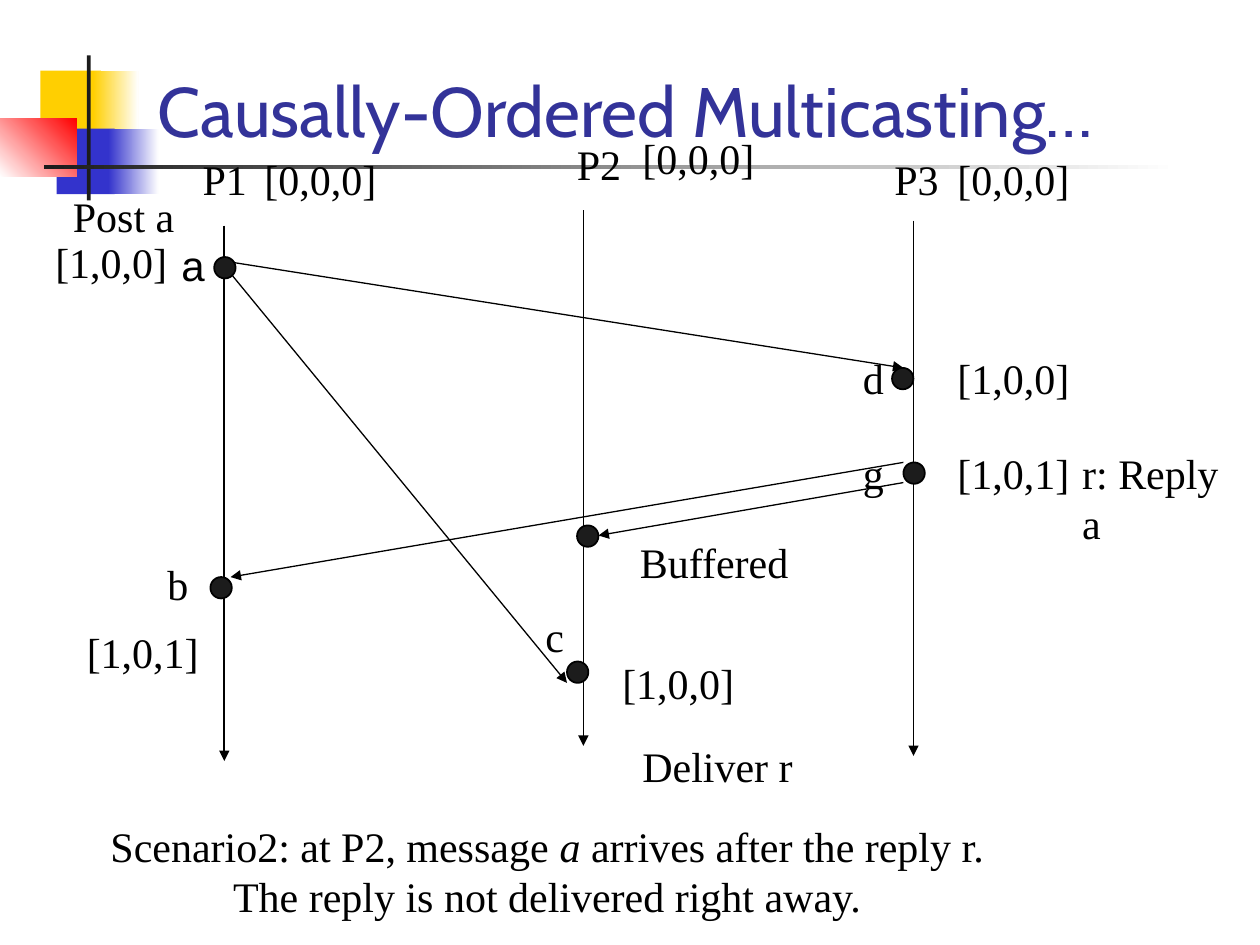
from lxml import etree
from pptx import Presentation, util as u
from pptx.dml.color import RGBColor
from pptx.enum import shapes as s, text as t
from pptx.oxml.ns import qn

SCALE = 9144
DOT = 17
SERIF = "Times New Roman"
HUES = {"gold": "FFCF01", "blue": "3333CC", "red": "FF0000", "dark": "1C1C1C",
        "white": "FFFFFF", "black": "000000", "title": "333399"}


def px(*vals):
    """Turn pixel lengths into EMU."""
    return [u.Emu(v * SCALE) for v in vals]


def hue(name):
    """Look up a named colour."""
    return RGBColor.from_string(HUES[name])


def shape(slide, kind, box, *fill, angle=0):
    """Add a borderless shape with a solid or two-stop gradient fill."""
    item = slide.shapes.add_shape(kind, *px(*box))
    item.shadow.inherit = False
    item.line.fill.background()
    if len(fill) == 1:
        item.fill.solid()
        item.fill.fore_color.rgb = hue(fill[0])
    else:
        item.fill.gradient()
        item.fill.gradient_angle = angle
        for stop, name in zip(item.fill.gradient_stops, fill):
            stop.color.rgb = hue(name)
    return item


def dot(slide, x, y):
    """Mark an event by its top left corner."""
    item = shape(slide, s.MSO_SHAPE.OVAL, (x, y, DOT, DOT), "dark")
    item.line.color.rgb = hue("black")
    item.line.width = u.Pt(1)


def arrow(slide, x1, y1, x2, y2, width):
    """Draw a line with a triangle at its end."""
    item = slide.shapes.add_connector(s.MSO_CONNECTOR.STRAIGHT, *px(x1, y1, x2, y2))
    item.line.color.rgb = hue("black")
    item.line.width = u.Pt(width)
    etree.SubElement(item.line._get_or_add_ln(), qn("a:tailEnd"), type="triangle")
    etree.SubElement(item._element.spPr, qn("a:effectLst"))


def style(para, font=SERIF, size=24, name="black"):
    """Set the font of a paragraph."""
    para.font.name = font
    para.font.size = u.Pt(size)
    para.font.color.rgb = hue(name)


def label(slide, words, x, y, width, font=SERIF):
    """Add a one-line label that grows with its text."""
    frame = slide.shapes.add_textbox(*px(x, y, width, 50)).text_frame
    frame.word_wrap = False
    frame.auto_size = t.MSO_AUTO_SIZE.SHAPE_TO_FIT_TEXT
    frame.text = words
    style(frame.paragraphs[0], font)


def motif(slide, x, y):
    """Draw the coloured blocks and rules beside the title."""
    for box, fill, angle in [
        ((32, 12, 48, 52), ["gold"], 0),
        ((74, 12, 36, 52), ["gold", "white"], 0),
        ((45, 58, 46, 52), ["blue"], 0),
        ((86, 58, 40, 52), ["blue", "white"], 0),
        ((0, 50, 61, 46), ["white", "red"], 45),
        ((69, 0, 3, 115), ["dark"], 0),
        ((35, 87, 900, 3), ["dark", "white"], 0),
    ]:
        left, top, wide, high = box
        shape(slide, s.MSO_SHAPE.RECTANGLE, (x + left, y + top, wide, high),
              *fill, angle=angle)


def heading(slide, box, words):
    """Place the title."""
    title = slide.shapes.title
    title.left, title.top, title.width, title.height = px(*box)
    frame = title.text_frame
    frame.text = words
    frame.auto_size = t.MSO_AUTO_SIZE.NONE
    frame.vertical_anchor = t.MSO_ANCHOR.BOTTOM
    para = frame.paragraphs[0]
    para.alignment = t.PP_ALIGN.LEFT
    style(para, "Cabin", 40, "title")


def diagram(slide, x, y):
    """Draw process lines, messages, events and their clocks."""
    for left, top in [(144, 79), (429, 67), (691, 75)]:
        arrow(slide, x + left, y + top, x + left, y + top + 425, 1)
    for x1, y1, x2, y2 in [(149, 108, 683, 192), (149, 117, 416, 442),
                           (683, 283, 441, 325), (683, 267, 149, 358)]:
        arrow(slide, x + x1, y + y1, x + x2, y + y2, 0.75)
    for left, top in [(136, 104), (133, 358), (416, 425), (424, 317),
                      (674, 192), (683, 267)]:
        dot(slide, x + left, y + top)
    for words, left, top, width in [
        ("P1", 117, 17, 55), ("P2", 414, 5, 55), ("P3", 666, 17, 55),
        ("[0,0,0]", 166, 17, 109), ("[0,0,0]", 466, 0, 109), ("[0,0,0]", 716, 17, 109),
        ("Post a", 14, 46, 101), ("[1,0,0]", 0, 83, 109),
        ("b", 89, 338, 36), ("[1,0,1]", 25, 392, 109),
        ("c", 389, 380, 35), ("[1,0,0]", 450, 417, 109),
        ("Buffered", 464, 321, 138), ("Deliver r", 466, 483, 140),
        ("d", 641, 175, 36), ("[1,0,0]", 716, 175, 109),
        ("g", 641, 250, 36), ("[1,0,1]", 716, 250, 109), ("r: Reply a", 815, 250, 151),
    ]:
        label(slide, words, x + left, y + top, width)
    label(slide, "a", x + 100, y + 85, 38, "Arial")


def caption(slide, box):
    """Add the centred scenario text."""
    frame = slide.shapes.add_textbox(*px(*box)).text_frame
    frame.word_wrap = True
    first, last = frame.paragraphs[0], frame.add_paragraph()
    for words in ("Scenario2: at P2, message ", "a ", "arrives after the reply r. "):
        first.add_run().text = words
    first.runs[1].font.italic = True
    last.text = "The reply is not delivered right away. "
    for para in (first, last):
        para.alignment = t.PP_ALIGN.CENTER
        style(para)


def main():
    """Build and save the slide."""
    deck = Presentation()
    deck.slide_width, deck.slide_height = px(1000, 750)
    slide = deck.slides.add_slide(deck.slide_layouts[5])
    motif(slide, 0, 44)
    heading(slide, (115, 33, 809, 92), "Causally-Ordered Multicasting…")
    diagram(slide, 34, 100)
    caption(slide, (77, 646, 723, 90))
    deck.save("out.pptx")


if __name__ == "__main__":
    main()
